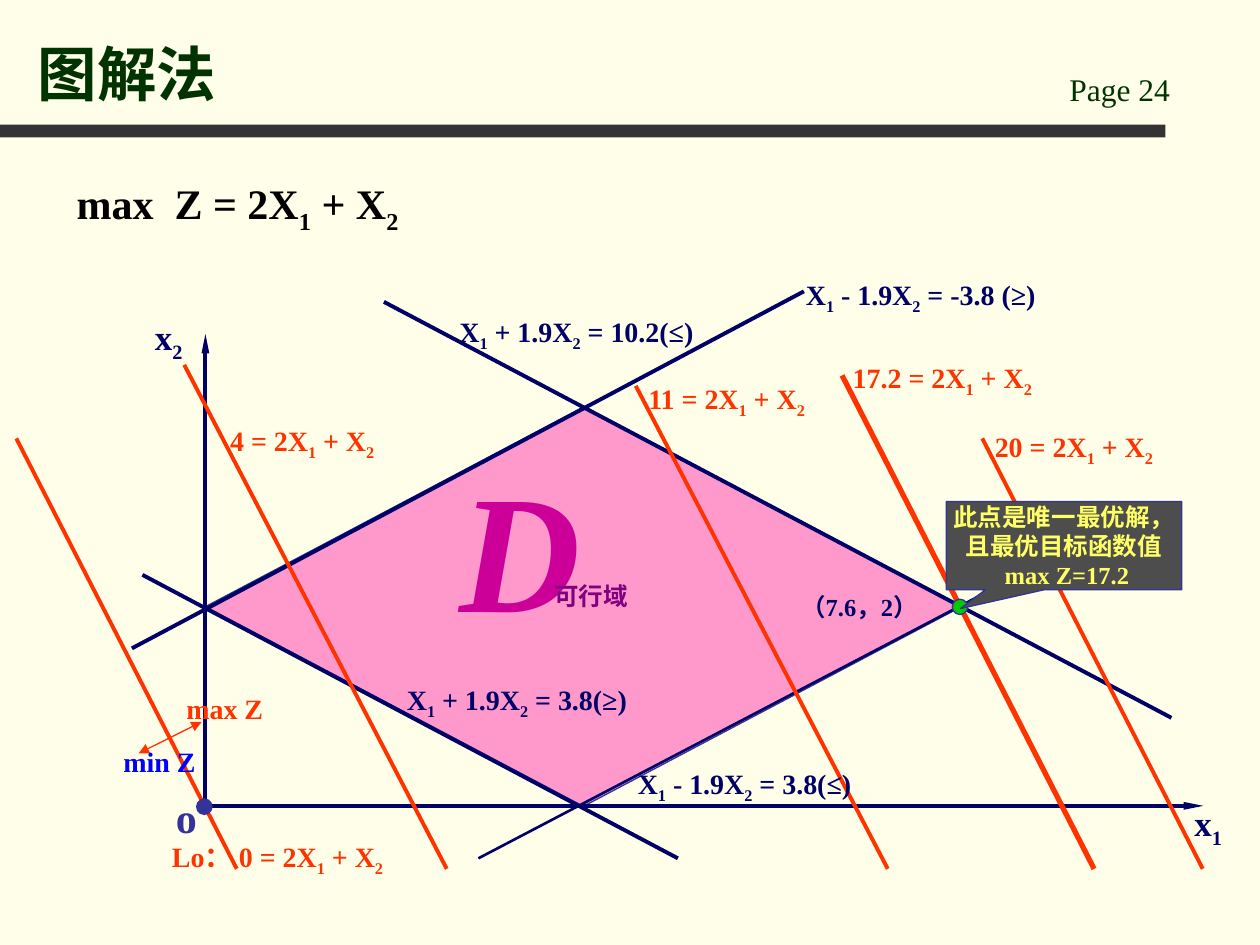
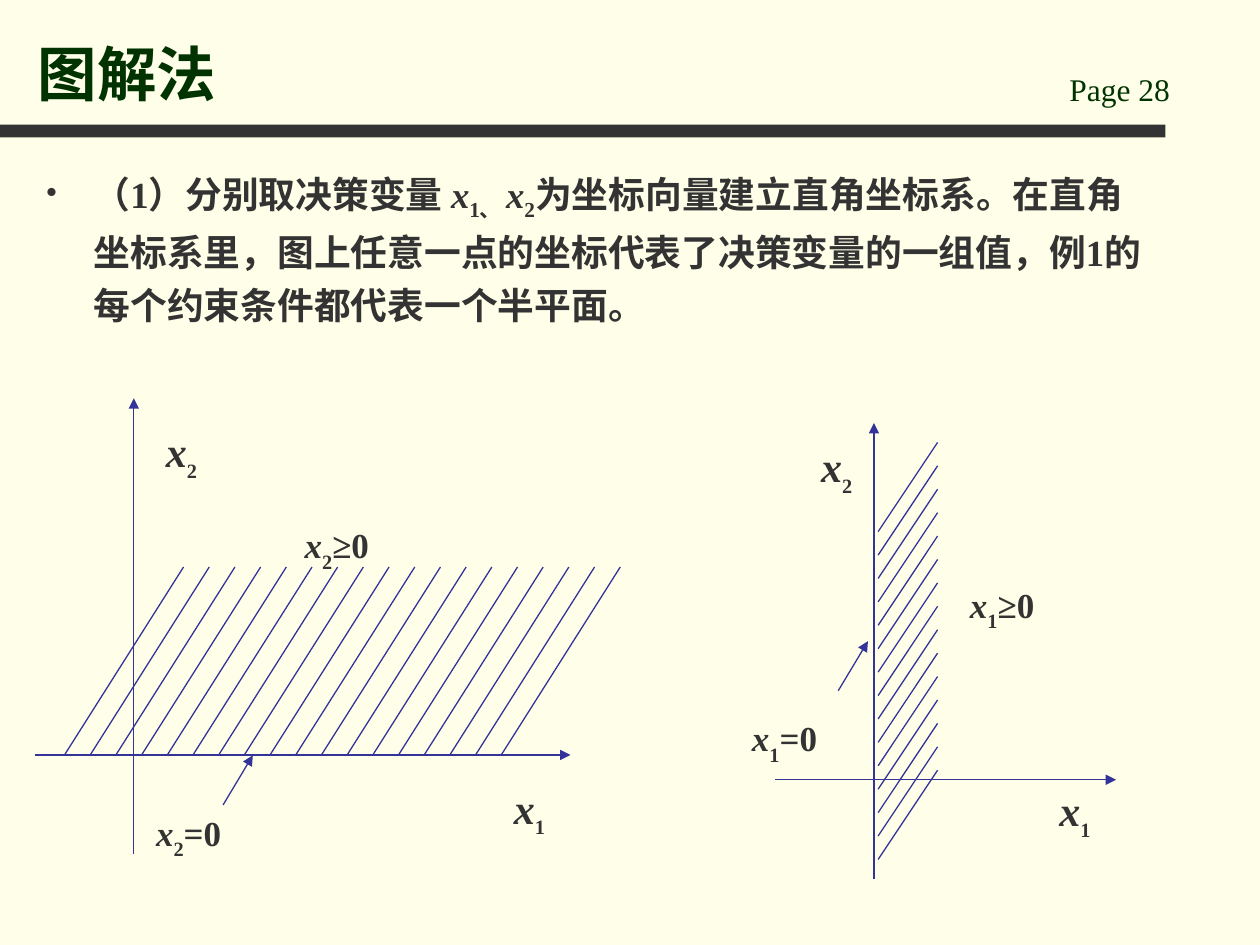
from lxml.etree import SubElement
from pptx import Presentation
from pptx.dml.color import RGBColor
from pptx.enum.shapes import MSO_CONNECTOR as Connector, MSO_SHAPE as Shape
from pptx.enum.text import MSO_ANCHOR as Anchor, MSO_AUTO_SIZE as AutoSize, PP_ALIGN as Align
from pptx.oxml.ns import qn
from pptx.util import Pt

FONT = "Times New Roman"
CREAM, GREEN, GREY = "FFFFE9", "003300", "333333"
NAVY, INDIGO, ORANGE = "000066", "333399", "FF3300"


def rgb(code):
    return RGBColor.from_string(code)


def formula(text, **style):
    """Split text into spans; the character after each _ is a subscript."""
    first, *rest = text.split("_")
    spans = [(first, style)]
    for piece in rest:
        spans.append((piece[0], {"base": -25}))
        if piece[1:]:
            spans.append((piece[1:], {}))
    return spans


class Deck:
    def __init__(self):
        self.deck = Presentation()
        self.deck.slide_width, self.deck.slide_height = Pt(720), Pt(540)
        fill = self.deck.slide_master.background.fill
        fill.solid()
        fill.fore_color.rgb = rgb(CREAM)
        self.page = None

    def add_page(self, title, number):
        self.page = self.deck.slides.add_slide(self.deck.slide_layouts[5])
        self.shape(Shape.RECTANGLE, 0, 71.3, 666, 7.2, GREY)
        self.label(604, 36.7, 102, [(f"Page {number}", {"bold": False})], 18, GREEN, before=0)
        box = self.page.shapes.title
        box.left, box.top, box.width, box.height = Pt(14.4), Pt(9.4), Pt(578), Pt(56.2)
        frame = box.text_frame
        frame.auto_size, frame.vertical_anchor = AutoSize.NONE, Anchor.BOTTOM
        frame.paragraphs[0].alignment = Align.LEFT
        self.span(frame.paragraphs[0], title, 34, GREEN)

    def span(self, para, text, size, color, bold=True, italic=False, base=0):
        span = para.add_run()
        span.text = text
        font = span.font
        font.name, font.size, font.bold, font.italic = FONT, Pt(size), bold, italic
        font.color.rgb = rgb(color)
        if base:
            span._r.get_or_add_rPr().set("baseline", str(base * 1000))

    def space_before(self, para, percent):
        spacing = para._p.get_or_add_pPr().get_or_add_spcBef()
        SubElement(spacing, qn("a:spcPct")).set("val", str(percent * 1000))

    def label(self, left, top, width, spans, size, color, before=50, leading=None,
              wrap=True, height=None):
        box = self.page.shapes.add_textbox(
            Pt(left), Pt(top), Pt(width), Pt(height or 1.2 * size + 7.2))
        frame = box.text_frame
        frame.word_wrap = wrap
        frame.auto_size = AutoSize.NONE if height else AutoSize.SHAPE_TO_FIT_TEXT
        para = frame.paragraphs[0]
        if leading:
            para.line_spacing = leading
        if before:
            self.space_before(para, before)
        for text, style in spans:
            self.span(para, text, **{"size": size, "color": color, **style})
        return para

    def bullet(self, para, indent, percent):
        props = para._p.get_or_add_pPr()
        props.set("marL", str(Pt(indent)))
        props.set("indent", str(-Pt(indent)))
        SubElement(props, qn("a:buSzPct")).set("val", str(percent * 1000))
        SubElement(props, qn("a:buChar")).set("char", "•")

    def shape(self, kind, left, top, width, height, fill, line=None):
        shape = self.page.shapes.add_shape(kind, Pt(left), Pt(top), Pt(width), Pt(height))
        shape.shadow.inherit = False
        shape.fill.solid()
        shape.fill.fore_color.rgb = rgb(fill)
        if line:
            shape.line.color.rgb = rgb(line)
            shape.line.width = Pt(0.75)
        else:
            shape.line.fill.background()
        return shape

    def dot(self, x, y, fill):
        self.shape(Shape.OVAL, x - 4.4, y - 4.4, 8.8, 8.8, fill, INDIGO)

    def callout(self, left, top, width, height, tip, lines, size, color):
        box = self.shape(Shape.RECTANGULAR_CALLOUT, left, top, width, height, "4D4D4D", INDIGO)
        box.adjustments[0], box.adjustments[1] = tip
        frame = box.text_frame
        frame.word_wrap, frame.vertical_anchor = False, Anchor.MIDDLE
        for i, text in enumerate(lines):
            para = frame.add_paragraph() if i else frame.paragraphs[0]
            para.alignment = Align.CENTER
            self.span(para, text, size, color)

    def line(self, x1, y1, x2, y2, color=INDIGO, weight=0.75, ends=(), head=("med", "med")):
        line = self.page.shapes.add_connector(
            Connector.STRAIGHT, Pt(x1), Pt(y1), Pt(x2), Pt(y2))
        line.line.color.rgb = rgb(color)
        line.line.width = Pt(weight)
        outline = line.line._get_or_add_ln()
        for end in ends:
            SubElement(outline, qn(f"a:{end}"), type="triangle", w=head[0], len=head[1])
        SubElement(line._element.spPr, qn("a:effectLst"))

    def arrow(self, *points, **style):
        self.line(*points, ends=("tailEnd",), **style)

    def variable(self, left, top, width, index, relation=""):
        """Italic x with a subscript, optionally followed by a relation."""
        size = 20 if relation else 24
        spans = [("x", {"italic": True}), (index, {"size": 20, "base": -30})]
        if relation:
            spans.append((relation, {}))
        self.label(left, top, width, spans, size, GREY, leading=1.2)


def build_optimum(deck):
    deck.add_page("图解法", 24)

    # Feasible region and axes
    deck.shape(Shape.DIAMOND, 117.4, 232.6, 432, 228.2, "FF99CC", INDIGO)
    for tip in ((117.4, 190.8), (687.6, 460.5)):
        deck.arrow(117.4, 460.5, *tip, color=NAVY, weight=2.25, head=("sm", "lg"))

    # Constraint lines
    for *points, weight in (
        (81.4, 328.5, 387.4, 490.5, 2.25),
        (273.4, 490.5, 651.4, 292.5, 1.5),
        (219.4, 172.5, 669.4, 410.2, 2.25),
        (75.4, 370.5, 459.4, 166.5, 2.25),
    ):
        deck.line(*points, NAVY, weight)
    deck.label(675.4, 454.5, 42, formula("x_1"), 20, NAVY)
    deck.label(81.4, 177, 42, formula("x_2"), 20, NAVY)
    deck.label(93.4, 448.5, 30, formula("o"), 24, INDIGO)

    # Objective lines, from top left to bottom right
    bottom = 496.5
    for x1, y1, x2, weight in (
        (481.2, 214.5, 625.2, 3),
        (9.3, 250.5, 135.3, 2.25),
        (105.3, 208.5, 255.3, 2.25),
        (363.3, 220.5, 507.3, 2.25),
        (561.3, 250.5, 687.3, 2.25),
    ):
        deck.line(x1, y1, x2, bottom, ORANGE, weight)

    # Equations
    for left, top, width, text in (
        (357.4, 434.2, 150, "X_1 - 1.9X_2 = 3.8(≤)"),
        (225.4, 386.2, 156, "X_1 + 1.9X_2 = 3.8(≥)"),
        (453.4, 154.8, 162, "X_1 - 1.9X_2 = -3.8 (≥)"),
        (255.4, 176, 162, "X_1 + 1.9X_2 = 10.2(≤)"),
    ):
        deck.label(left, top, width, formula(text), 16, NAVY)
    for left, top, width, value in (
        (124.4, 238.4, 102, "4"),
        (561.4, 242, 108, "20"),
        (480.2, 202.4, 120, "17.2"),
        (363.4, 214.5, 108, "11"),
        (87.2, 476, 156, " Lo： 0"),
    ):
        deck.label(left, top, width, formula(f"{value} = 2X_1 + X_2"), 16, ORANGE)

    # Optimal point, region name and search directions
    deck.dot(548.6, 346.8, "00CC00")
    deck.label(450.7, 334.8, 98.6, formula("（7.6，2）"), 14, NAVY)
    deck.label(255.4, 250.5, 84, formula("D", italic=True), 96, "CC0099")
    deck.line(79.2, 430.5, 115.2, 412.5, ORANGE, ends=("headEnd", "tailEnd"))
    deck.label(99.4, 391.7, 60, formula("max Z"), 16, ORANGE)
    deck.label(63.4, 421.9, 66, formula("min Z"), 16, "0000FF")
    deck.dot(116.8, 461, INDIGO)
    deck.callout(540.7, 286.6, 134.6, 50.4, (-0.439, 0.714),
                 ("此点是唯一最优解，", "且最优目标函数值", " max Z=17.2"), 14, "FFFF66")
    deck.label(309.6, 328.3, 66, formula("可行域"), 14, "800080")
    deck.label(36.7, 98, 200, formula("max  Z = 2X_1 + X_2"), 24, "000000",
               before=20, wrap=False)


def build_half_planes(deck):
    deck.add_page("图解法", 28)

    # Explanation
    italic, sub = {"italic": True}, {"base": -25}
    para = deck.label(19.4, 88.6, 640.8, [
        ("（1）分别取决策变量 ", {}), ("x", italic), ("1、 ", sub), ("x", italic), ("2", sub),
        ("为坐标向量建立直角坐标系。在直角坐标系里，图上任意一点的坐标代表了决策变量的"
         "一组值，例1的每个约束条件都代表一个半平面。", {}),
    ], 21, GREY, before=15, leading=1.2, height=368.6)
    deck.bullet(para, 27, 85)

    # Axes and pointers to the boundary lines
    for points in (
        (76.5, 488, 76.5, 227.6), (19.8, 431.4, 326, 431.4), (127.5, 460, 144.5, 431.6),
        (499.4, 502.5, 499.4, 241.7), (442.8, 445.6, 637.8, 445.6), (479, 394.7, 496, 366.4),
    ):
        deck.arrow(*points)

    # Hatching of the half planes
    for i in range(18):
        foot = 36.9 + 14.68 * i
        deck.line(foot, 431.4, foot + 68, 324)
    for i in range(15):
        foot = 303.8 + 13.38 * i
        deck.line(501.8, foot, 535.8, foot - 51)

    # Variable labels
    for label in (
        (87.8, 233.3, 45, "2"), (286.6, 437, 45, "1"),
        (167, 290.2, 91, "2", "≥0"), (82.1, 454.5, 73, "2", "=0"),
        (462.2, 241.9, 45, "2"), (598.3, 438.5, 45, "1"),
        (547.2, 324, 91, "1", "≥0"), (422.6, 400.3, 73, "1", "=0"),
    ):
        deck.variable(*label)


def main():
    deck = Deck()
    build_optimum(deck)
    build_half_planes(deck)
    deck.deck.save("out.pptx")


if __name__ == "__main__":
    main()
